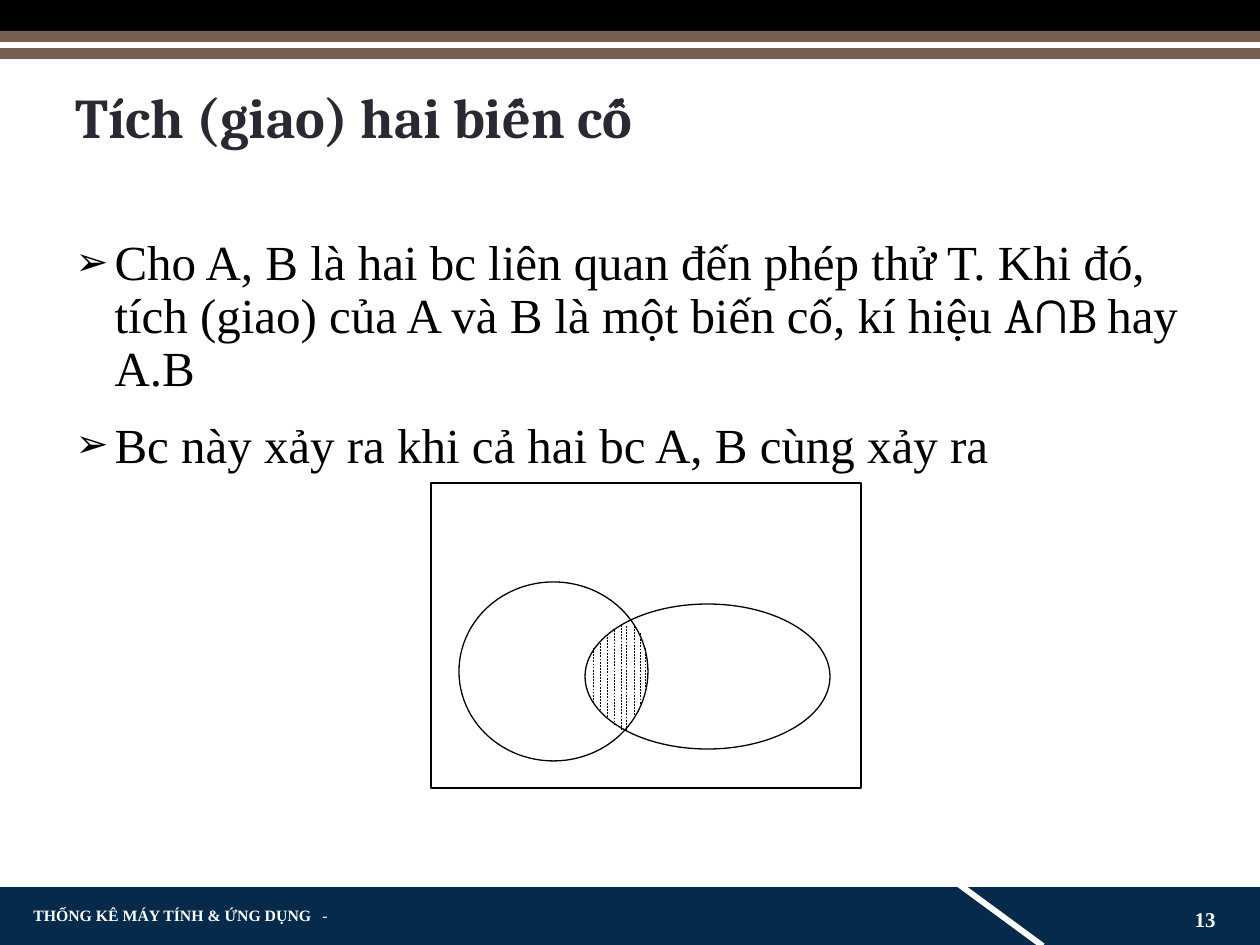
from typing import NamedTuple

from pptx import Presentation
from pptx.dml.color import RGBColor
from pptx.enum.dml import MSO_LINE
from pptx.enum.shapes import MSO_CONNECTOR, MSO_SHAPE as Preset
from pptx.enum.text import MSO_ANCHOR as Anchor, MSO_AUTO_SIZE, PP_ALIGN as Align
from pptx.oxml.xmlchemy import OxmlElement
from pptx.util import Emu, Pt

WHITE = RGBColor(0xFF, 0xFF, 0xFF)
BLACK = RGBColor(0x00, 0x00, 0x00)
NAVY = RGBColor(0x05, 0x2A, 0x4B)
BROWN = RGBColor(0x77, 0x5F, 0x55)
INK = RGBColor(0x29, 0x29, 0x34)
SERIF = "Times New Roman"
HEADING = "Cambria"
EMU_PER_PX = 914400 / 126
WIDTH, HEIGHT = 1260, 945


class Box(NamedTuple):
    left: int
    top: int
    width: int
    height: int


class Figure(NamedTuple):
    box: Box
    preset: Preset = Preset.RECTANGLE
    fill: RGBColor | None = None
    line: RGBColor | None = None
    rotation: float = 0


class Hatch(NamedTuple):
    x: int
    top: int
    bottom: int


class Run(NamedTuple):
    text: str
    font: str = SERIF
    bold: bool = False


BANDS = [
    Figure(Box(0, 887, WIDTH, 58), fill=NAVY),
    Figure(Box(948, 912, 105, 6), fill=WHITE, rotation=36.3),
    Figure(Box(0, 0, WIDTH, 31), fill=BLACK),
    Figure(Box(0, 31, WIDTH, 28), fill=BROWN),
    Figure(Box(0, 42, WIDTH, 6), fill=WHITE),
]
VENN = [
    Figure(Box(431, 483, 430, 305), fill=WHITE, line=BLACK),
    Figure(Box(459, 582, 189, 179), Preset.OVAL, line=BLACK),
    Figure(Box(585, 604, 245, 145), Preset.OVAL, line=BLACK),
]
INTERSECTION = [
    Hatch(593, 648, 703),
    Hatch(600, 643, 709),
    Hatch(607, 634, 718),
    Hatch(614, 630, 725),
    Hatch(621, 625, 730),
    Hatch(626, 626, 731),
    Hatch(634, 626, 718),
    Hatch(640, 633, 706),
    Hatch(645, 648, 694),
]
DEFINITION = [
    [
        Run("Cho A, B là hai bc liên quan đến phép thử T. Khi đó, "
            "tích (giao) của A và B là một biến cố, kí hiệu "),
        Run("A∩B ", HEADING),
        Run("hay A.B"),
    ],
    [Run("Bc này xảy ra khi cả hai bc A, B cùng xảy ra")],
]


def px(length: float) -> Emu:
    return Emu(round(length * EMU_PER_PX))


def place(shape, box: Box) -> None:
    shape.left, shape.top, shape.width, shape.height = map(px, box)


def draw_figure(shapes, figure: Figure) -> None:
    shape = shapes.add_shape(figure.preset, *map(px, figure.box))
    shape.shadow.inherit = False
    shape.rotation = figure.rotation
    if figure.fill is None:
        shape.fill.background()
    else:
        shape.fill.solid()
        shape.fill.fore_color.rgb = figure.fill
    if figure.line is None:
        shape.line.fill.background()
    else:
        shape.line.color.rgb = figure.line
        shape.line.width = Pt(0.75)


def draw_hatch(shapes, hatch: Hatch) -> None:
    stroke = shapes.add_connector(
        MSO_CONNECTOR.STRAIGHT,
        px(hatch.x), px(hatch.top), px(hatch.x), px(hatch.bottom))
    stroke.line.color.rgb = BLACK
    stroke.line.width = Pt(0.25)
    stroke.line.dash_style = MSO_LINE.DASH
    stroke._element.spPr.append(OxmlElement("a:effectLst"))


def add_child(parent, tag: str, **attributes: str):
    child = OxmlElement(tag)
    for key, value in attributes.items():
        child.set(key, value)
    parent.append(child)
    return child


def add_bullet(paragraph, indent: int) -> None:
    properties = paragraph._p.get_or_add_pPr()
    properties.set("marL", str(px(indent)))
    properties.set("indent", str(px(-indent)))
    colour = add_child(properties, "a:buClr")
    add_child(colour, "a:srgbClr", val=str(BLACK))
    add_child(properties, "a:buSzPct", val="80000")
    add_child(properties, "a:buChar", char="➢")


def add_tab(paragraph, position: int) -> None:
    tabs = add_child(paragraph._p.get_or_add_pPr(), "a:tabLst")
    add_child(tabs, "a:tab", pos=str(px(position)), algn="l")


def write(shape, paragraphs: list[list[Run]], *, size: float, color: RGBColor,
          anchor=Anchor.TOP, align=Align.LEFT, spacing: float = 1.0,
          before: float = 0, bullet: int = 0, tab: int = 0) -> None:
    frame = shape.text_frame
    frame.word_wrap = True
    frame.auto_size = MSO_AUTO_SIZE.NONE
    frame.vertical_anchor = anchor
    for index, runs in enumerate(paragraphs):
        paragraph = frame.add_paragraph() if index else frame.paragraphs[0]
        if bullet:
            add_bullet(paragraph, bullet)
        if tab:
            add_tab(paragraph, tab)
        paragraph.alignment = align
        paragraph.line_spacing = spacing
        paragraph.space_before = Pt(before if index else 0)
        for text, font, bold in runs:
            run = paragraph.add_run()
            run.text = text
            run.font.name = font
            run.font.bold = bold
            run.font.size = Pt(size)
            run.font.color.rgb = color


def main() -> None:
    deck = Presentation()
    deck.slide_width, deck.slide_height = px(WIDTH), px(HEIGHT)
    slide = deck.slides.add_slide(deck.slide_layouts[1])
    shapes = slide.shapes

    for band in BANDS:
        draw_figure(shapes, band)

    title, definition = shapes.title, slide.placeholders[1]
    place(title, Box(63, 84, 1140, 129))
    write(title, [[Run("Tích (giao) hai biến cố", HEADING, True)]],
          size=32, color=INK, spacing=0.9)
    place(definition, Box(63, 232, 1140, 641))
    write(definition, DEFINITION, size=28, color=BLACK,
          spacing=0.9, before=13.5, bullet=39)

    course = shapes.add_textbox(*map(px, Box(21, 903, 325, 25)))
    write(course, [[Run("THỐNG KÊ MÁY TÍNH & ỨNG DỤNG", bold=True), Run("\t-")]],
          size=9, color=WHITE, anchor=Anchor.MIDDLE, tab=289)
    page_number = shapes.add_textbox(*map(px, Box(1131, 903, 97, 32)))
    write(page_number, [[Run("13", bold=True)]], size=12, color=WHITE,
          anchor=Anchor.MIDDLE, align=Align.RIGHT)

    for figure in VENN:
        draw_figure(shapes, figure)
    for hatch in INTERSECTION:
        draw_hatch(shapes, hatch)

    deck.save("out.pptx")


if __name__ == "__main__":
    main()
